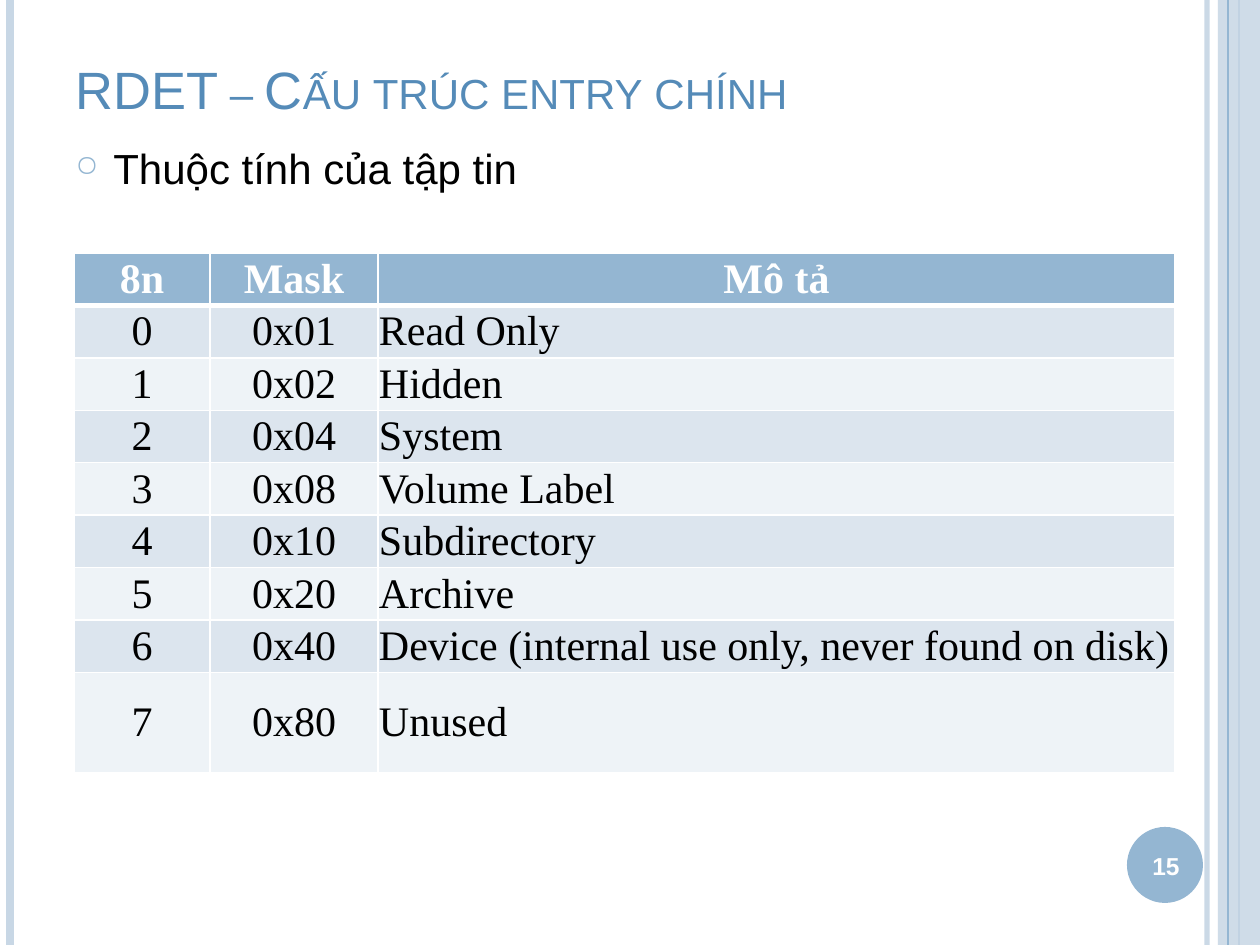
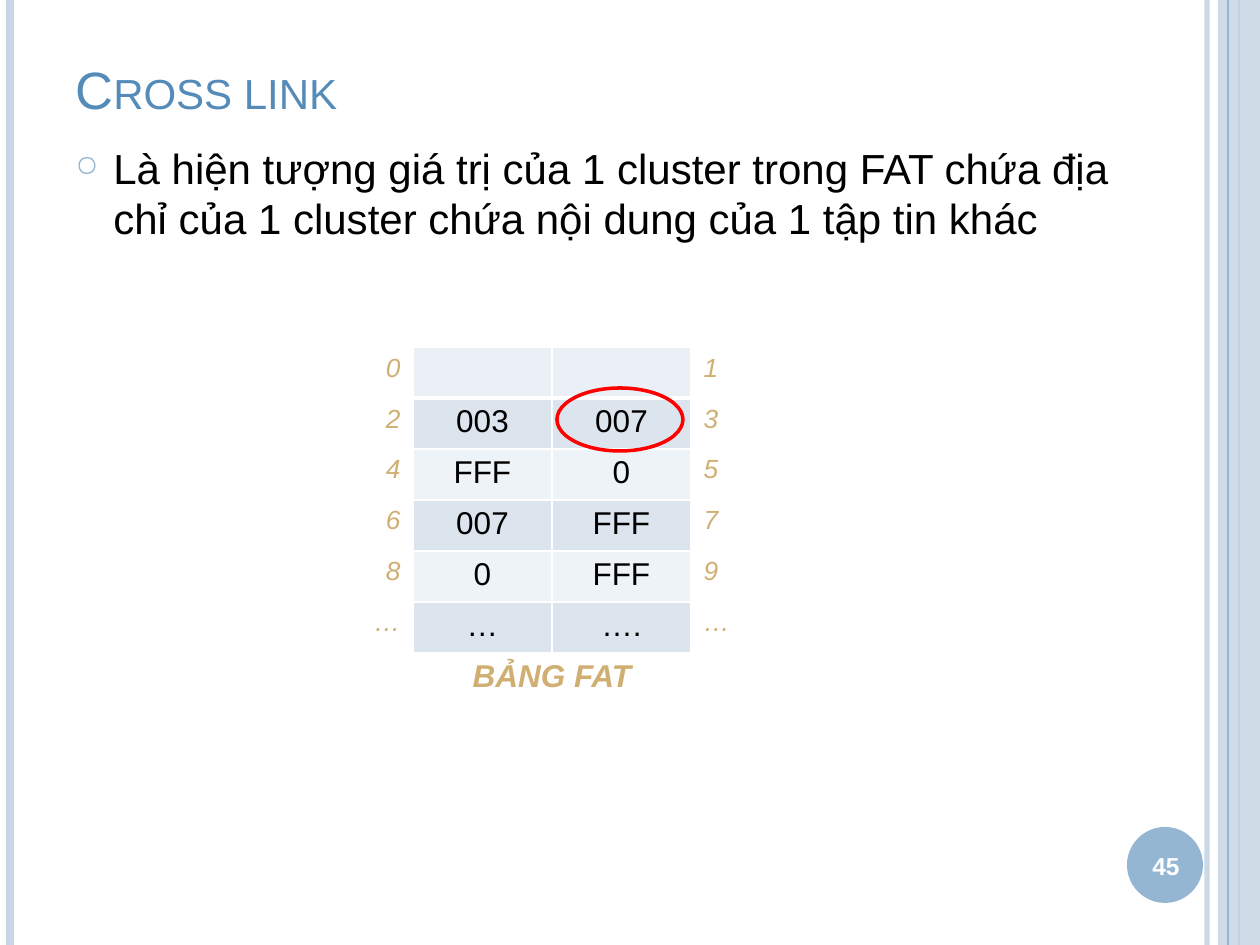
"""Builds two slides on FAT directory attributes and cross links."""
from dataclasses import dataclass

from lxml import etree
from pptx import Presentation
from pptx.dml.color import RGBColor
from pptx.enum import shapes, text
from pptx.oxml import ns
from pptx import util as u

PX = u.Inches(1) / 126
WIDTH, HEIGHT = 1260, 945
LEFT, CENTER, RIGHT = text.PP_ALIGN.LEFT, text.PP_ALIGN.CENTER, text.PP_ALIGN.RIGHT
TOP, MIDDLE, BOTTOM = text.MSO_ANCHOR.TOP, text.MSO_ANCHOR.MIDDLE, text.MSO_ANCHOR.BOTTOM


@dataclass(frozen=True)
class Style:
    size: int
    color: str
    font: str = "Arial"
    bold: bool = False
    italic: bool = False


@dataclass(frozen=True)
class Theme:
    accent: str = "94B6D2"
    pale: str = "C8D7E5"
    white: str = "FFFFFF"
    ring: str = "FF0000"
    bands: tuple = ("EEF3F7", "DCE5EE")
    fat_top: str = "EAF0F6"
    title: Style = Style(30, "558BB8")
    body: Style = Style(24, "000000")
    number: Style = Style(14, "FFFFFF", bold=True)
    heading: Style = Style(24, "FFFFFF", "Times New Roman", bold=True)
    attribute: Style = Style(24, "000000", "Times New Roman")
    entry: Style = Style(18, "000000")
    index: Style = Style(15, "D0AF72", italic=True)
    caption: Style = Style(18, "D0AF72", bold=True, italic=True)


THEME = Theme()

ATTRIBUTES = {
    "title": "RDET – Cấu trúc entry chính",
    "point": "Thuộc tính của tập tin",
    "number": "15",
    "header": ("8n", "Mask", "Mô tả"),
    "descriptions": ("Read Only", "Hidden", "System", "Volume Label", "Subdirectory", "Archive",
                     "Device (internal use only, never found on disk)", "Unused"),
}
CROSS_LINK = {
    "title": "Cross link",
    "point": "Là hiện tượng giá trị của 1 cluster trong FAT chứa địa chỉ của 1 cluster "
             "chứa nội dung của 1 tập tin khác",
    "number": "45",
    "fat": [
        ("0", "", "", "1"),
        ("2", "003", "007", "3"),
        ("4", "FFF", "0", "5"),
        ("6", "007", "FFF", "7"),
        ("8", "0", "FFF", "9"),
        ("…", "…", "….", "…"),
    ],
    "caption": "BẢNG FAT",
}
ROW = 51


def px(*lengths):
    return [round(length * PX) for length in lengths]


def child(parent, tag, **attributes):
    return etree.SubElement(parent, ns.qn(tag), attributes)


def set_alpha(part, percent):
    for color in part.iter(ns.qn("a:srgbClr")):
        child(color, "a:alpha", val=str(percent * 1000))


def paint(fill, color):
    fill.solid()
    fill.fore_color.rgb = RGBColor.from_string(color)


def write(paragraph, words, style, align=LEFT):
    paragraph.text = words
    paragraph.alignment = align
    font = paragraph.font
    font.name, font.size = style.font, u.Pt(style.size)
    font.bold, font.italic = style.bold, style.italic
    font.color.rgb = RGBColor.from_string(style.color)


def add_text(slide, box, anchor=TOP):
    frame = slide.shapes.add_textbox(*px(*box)).text_frame
    frame.word_wrap = True
    frame.vertical_anchor = anchor
    return frame.paragraphs[0]


def add_rule(slide, x, points, color, alpha=100):
    rule = slide.shapes.add_connector(shapes.MSO_CONNECTOR.STRAIGHT, *px(x, 0, x, HEIGHT))
    rule.line.width = u.Pt(points)
    paint(rule.line.fill, color)
    set_alpha(rule.line._ln, alpha)
    child(rule._element.spPr, "a:effectLst")


def add_plain(slide, preset, box):
    plain = slide.shapes.add_shape(preset, *px(*box))
    plain.shadow.inherit = False
    plain.line.fill.background()
    return plain


def add_frame(slide):
    add_rule(slide, 1207, 3, THEME.pale, 93)
    add_rule(slide, 10, 4.5, THEME.pale)
    add_rule(slide, 1239, 1.5, THEME.accent)
    band = add_plain(slide, shapes.MSO_SHAPE.RECTANGLE, (1218, 0, 42, HEIGHT))
    paint(band.fill, THEME.pale)
    set_alpha(band._element.spPr, 87)
    add_rule(slide, 1228, 0.75, THEME.accent)
    badge = add_plain(slide, shapes.MSO_SHAPE.OVAL, (1127, 827, 76, 76))
    paint(badge.fill, THEME.accent)


def add_bullet(paragraph):
    paragraph.space_before = u.Pt(6)
    properties = paragraph._p.get_or_add_pPr()
    indent = px(38)[0]
    properties.set("marL", str(indent))
    properties.set("indent", str(-indent))
    child(child(properties, "a:buClr"), "a:srgbClr", val=THEME.accent)
    child(properties, "a:buSzPct", val="70000")
    child(properties, "a:buChar", char="○")


def start_slide(deck, content):
    slide = deck.slides.add_slide(deck.slide_layouts[6])
    add_frame(slide)
    title = add_text(slide, (63, 38, 1061, 88), BOTTOM)
    write(title, content["title"], THEME.title)
    title._p.get_or_add_pPr().get_or_add_defRPr().set("cap", "small")
    point = add_text(slide, (63, 136, 1061, 756))
    add_bullet(point)
    write(point, content["point"], THEME.body)
    write(add_text(slide, (1124, 830, 84, 72), MIDDLE), content["number"], THEME.number, CENTER)
    return slide


def add_grid(slide, corner, columns, rows):
    frame = slide.shapes.add_table(len(rows), len(columns), *px(*corner, sum(columns), sum(rows)))
    grid = frame.table
    grid.first_row = grid.horz_banding = False
    for column, width in zip(grid.columns, columns):
        column.width = px(width)[0]
    for row, height in zip(grid.rows, rows):
        row.height = px(height)[0]
    return grid


def fill_cell(cell, row, words, style, align, color=None):
    properties = cell._tc.get_or_add_tcPr()
    for side in "LRTB":
        points = 3 if (side, row) in (("B", 0), ("T", 1)) else 1
        edge = child(properties, f"a:ln{side}", w=str(u.Pt(points)))
        child(child(edge, "a:solidFill"), "a:srgbClr", val=THEME.white)
    if color:
        paint(cell.fill, color)
    else:
        cell.fill.background()
    write(cell.text_frame.paragraphs[0], words, style, align)


def build_attributes(deck):
    slide = start_slide(deck, ATTRIBUTES)
    records = [ATTRIBUTES["header"]]
    records += [(str(bit), f"0x{1 << bit:02X}", description)
                for bit, description in enumerate(ATTRIBUTES["descriptions"])]
    grid = add_grid(slide, (74, 253), (136, 168, 797), [ROW] * 8 + [100])
    for row, record in enumerate(records):
        style = THEME.attribute if row else THEME.heading
        color = THEME.bands[row % 2] if row else THEME.accent
        for column, words in enumerate(record):
            cell = grid.cell(row, column)
            cell.vertical_anchor = MIDDLE
            cell.margin_left = cell.margin_right = cell.margin_top = cell.margin_bottom = px(1)[0]
            fill_cell(cell, row, words, style, LEFT if row and column == 2 else CENTER, color)


def build_cross_link(deck):
    slide = start_slide(deck, CROSS_LINK)
    fat = CROSS_LINK["fat"]
    grid = add_grid(slide, (274, 347), [139] * 4, [ROW] * (len(fat) + 1))
    for row, record in enumerate(fat):
        band = THEME.bands[row % 2] if row else THEME.fat_top
        looks = ((THEME.index, RIGHT), (THEME.entry, CENTER, band),
                 (THEME.entry, CENTER, band), (THEME.index, LEFT))
        for column, (words, look) in enumerate(zip(record, looks)):
            fill_cell(grid.cell(row, column), row, words, *look)
    caption = grid.cell(len(fat), 0)
    caption.merge(grid.cell(len(fat), 3))
    fill_cell(caption, len(fat), CROSS_LINK["caption"], THEME.caption, CENTER)
    ring = add_plain(slide, shapes.MSO_SHAPE.OVAL, (557, 388, 126, 63))
    ring.fill.background()
    paint(ring.line.fill, THEME.ring)
    ring.line.width = u.Pt(2)


def main():
    deck = Presentation()
    deck.slide_width, deck.slide_height = px(WIDTH, HEIGHT)
    build_attributes(deck)
    build_cross_link(deck)
    deck.save("out.pptx")


if __name__ == "__main__":
    main()
